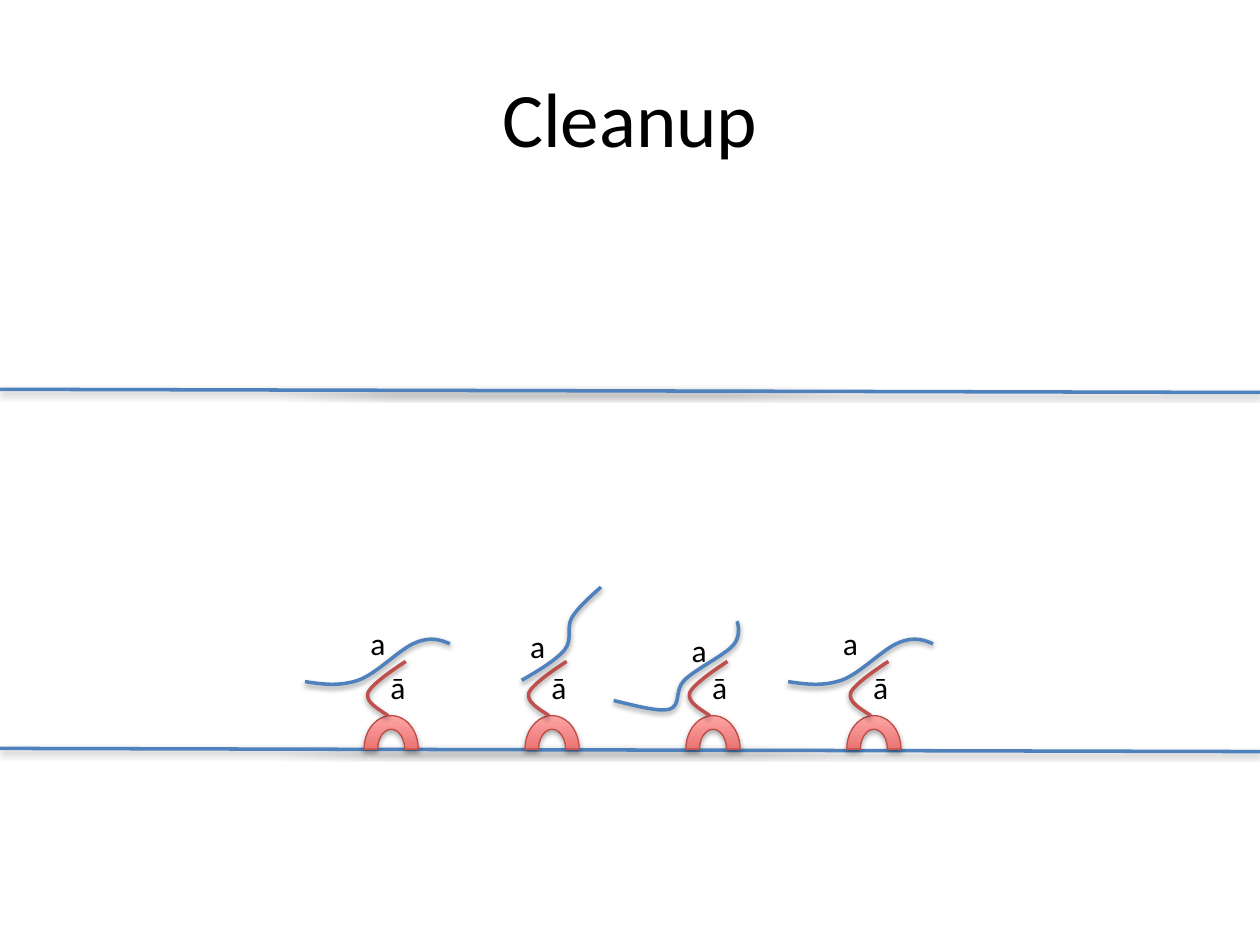
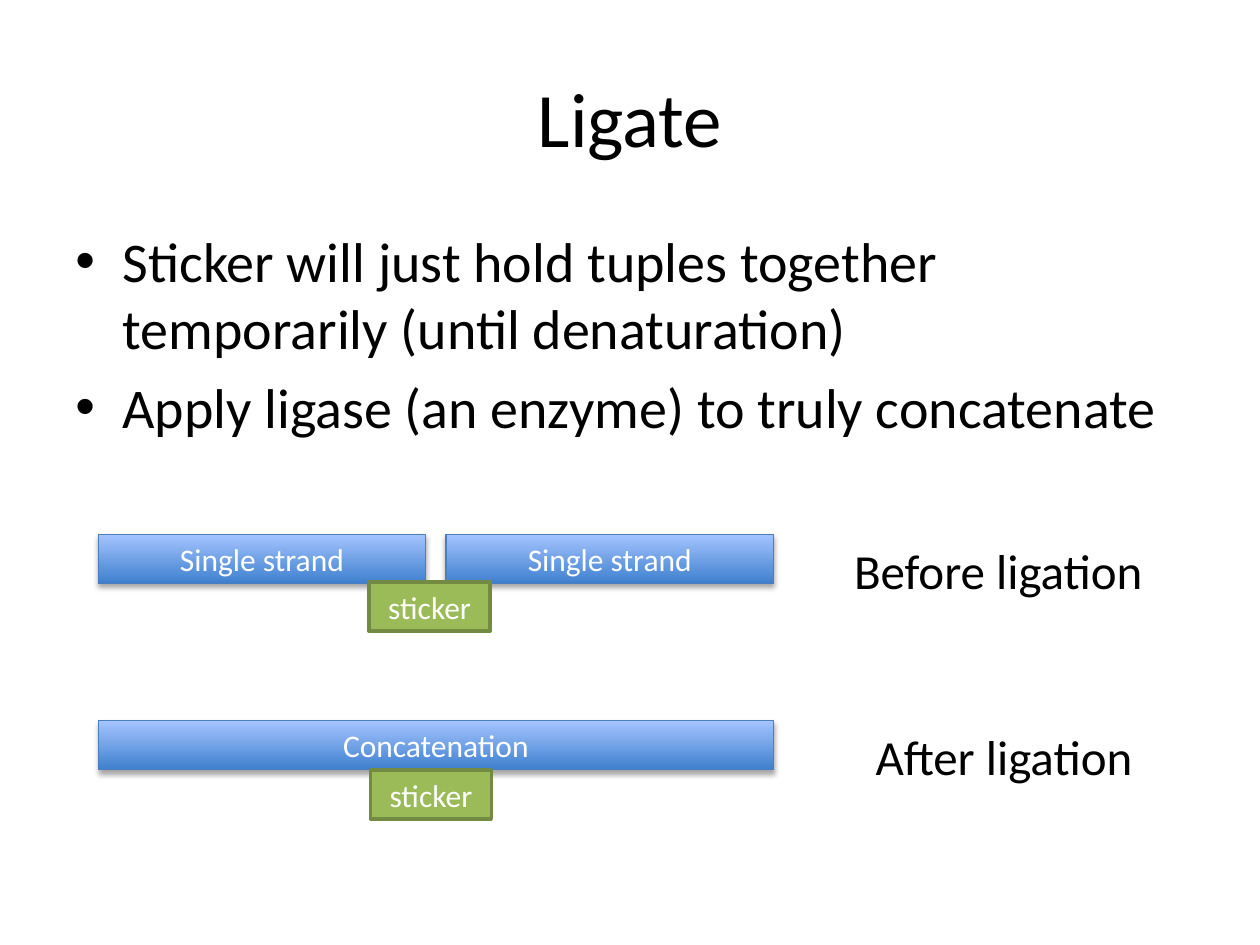
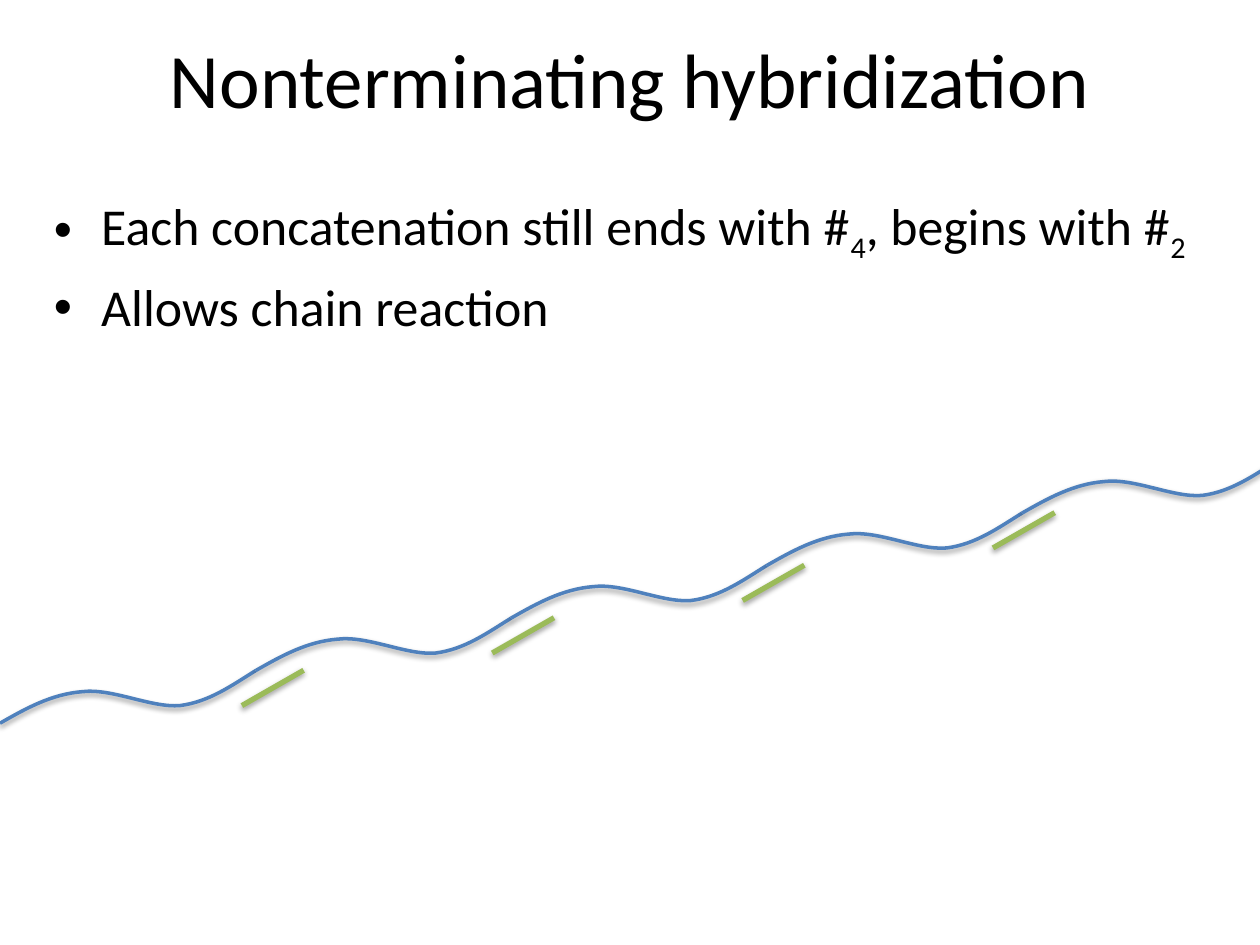
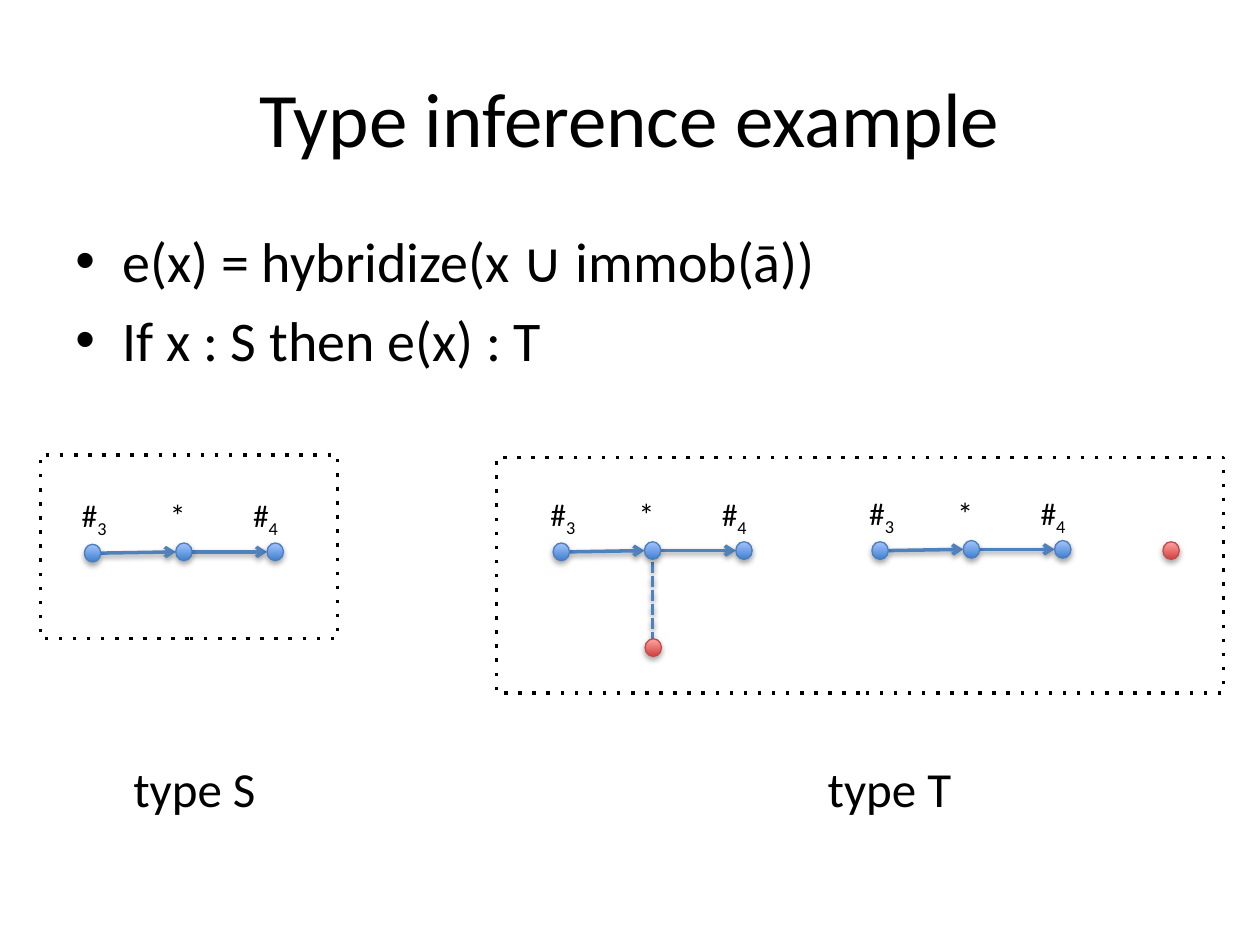
from lxml import etree
from pptx import Presentation
from pptx import util as u
from pptx.dml.color import RGBColor
from pptx.enum import shapes, text
from pptx.oxml import parse_xml
from pptx.oxml.ns import nsdecls, qn

FONT = "Calibri"
BLACK, WHITE = "000000", "FFFFFF"
BLUE, RED, GREEN = "4F81BD", "C0504D", "9BBB59"
BLUE_FILL, BLUE_EDGE = ("3F80CE", "A4C4FF"), "4B7EBC"
RED_FILL, RED_EDGE = ("D1403C", "FFA6A5"), "BF4C48"
GREEN_EDGE = "738A42"
SHADOW = (
    "<a:effectLst %s><a:outerShdw blurRad='40000' dist='%d' dir='5400000' rotWithShape='0'>"
    "<a:srgbClr val='000000'><a:alpha val='%d'/></a:srgbClr></a:outerShdw></a:effectLst>"
)
RECT, OVAL = shapes.MSO_SHAPE.RECTANGLE, shapes.MSO_SHAPE.OVAL

prs = Presentation()
prs.slide_width, prs.slide_height = u.Inches(10), u.Inches(7.5)
CELL = prs.slide_width // 100
rgb = RGBColor.from_string


def stroke(s, points, color=BLUE, width=2, dash=None, arrow=False):
    pts = [(round(x * CELL), round(y * CELL)) for x, y in points]
    if len(pts) == 2:
        sp = s.shapes.add_connector(shapes.MSO_CONNECTOR.STRAIGHT, *pts[0], *pts[1])
    else:
        builder = s.shapes.build_freeform(*pts[0])
        builder.add_line_segments(pts[1:], close=False)
        sp = builder.convert_to_shape()
        sp.fill.background()
        outline = sp._element.xpath(".//a:path")[0]
        segments = outline[1:]
        for i in range(0, len(segments), 3):
            bezier = etree.SubElement(outline, qn("a:cubicBezTo"))
            for segment in segments[i:i + 3]:
                bezier.append(segment[0])
                outline.remove(segment)
    sp.line.color.rgb = rgb(color)
    sp.line.width = u.Pt(width)
    ln = sp._element.spPr.find(qn("a:ln"))
    if dash:
        etree.SubElement(ln, qn("a:prstDash"), val=dash)
    if arrow:
        etree.SubElement(ln, qn("a:tailEnd"), type="arrow")
    sp._element.spPr.append(parse_xml(SHADOW % (nsdecls("a"), 20000, 38000)))


def box(s, kind, x, y, w, h, words="", size=18, fill=None, edge=None, width=0.75, wrap=False):
    place = [round(v * CELL) for v in (x, y, w, h)]
    if kind is None:
        sp = s.shapes.add_textbox(*place)
    else:
        sp = s.shapes.add_shape(kind, *place)
        sp.line.color.rgb = rgb(edge)
        sp.line.width = u.Pt(width)
        if isinstance(fill, tuple):
            sp.fill.gradient()
            sp.fill.gradient_angle = 90
            for stop, color in zip(sp.fill.gradient_stops, fill):
                stop.color.rgb = rgb(color)
            sp._element.spPr.append(parse_xml(SHADOW % (nsdecls("a"), 23000, 35000)))
        else:
            sp.fill.solid()
            sp.fill.fore_color.rgb = rgb(fill)
            sp.shadow.inherit = False
    if not words:
        return sp
    tf = sp.text_frame
    tf.word_wrap = wrap or kind is not None
    if kind is None and not wrap:
        tf.auto_size = text.MSO_AUTO_SIZE.SHAPE_TO_FIT_TEXT
    tf.text = words.replace("_", "")
    for p, line in zip(tf.paragraphs, words.split("\n")):
        p.alignment = text.PP_ALIGN.LEFT if kind is None else text.PP_ALIGN.CENTER
        parts = line.split("_")
        p.runs[0].text = parts[0]
        for part in parts[1:]:
            p.add_run().text = part
        for i, r in enumerate(p.runs):
            r.font.name, r.font.size = FONT, u.Pt(size)
            r.font.color.rgb = rgb(BLACK if kind is None else WHITE)
            if i % 2:
                r._r.get_or_add_rPr().set("baseline", "-25000")
    return sp


pages = []
for name, top in [("Cleanup", 3), ("Ligate", 3), ("Nonterminating hybridization", -0.1),
                  ("Type inference example", 3)]:
    s = prs.slides.add_slide(prs.slide_layouts[5])
    title = s.shapes.title
    title.left, title.top, title.width, title.height = [round(v * CELL) for v in (5, top, 90, 12.5)]
    title.text_frame.text = name
    title.text_frame.vertical_anchor = text.MSO_ANCHOR.MIDDLE
    p = title.text_frame.paragraphs[0]
    p.alignment = text.PP_ALIGN.CENTER
    r = p.runs[0]
    r.font.name, r.font.size, r.font.color.rgb = FONT, u.Pt(44), rgb(BLACK)
    pages.append(s)
cleanup, ligate, chain, inference = pages

for s, place, size, words in [
    (ligate, (5, 17.5, 90, 20.4), 32,
     "Sticker will just hold tuples together temporarily (until denaturation)\n"
     "Apply ligase (an enzyme) to truly concatenate"),
    (chain, (3.3, 14.9, 94.2, 14.2), 29.6,
     "Each concatenation still ends with #_4_, begins with #_2\nAllows chain reaction"),
    (inference, (5, 17.5, 90, 16.1), 32,
     "e(x) = hybridize(x ∪ immob(ā))\nIf x : S then e(x) : T"),
]:
    sp = box(s, None, *place, words, size, wrap=True)
    for i, p in enumerate(sp.text_frame.paragraphs):
        pPr = p._p.get_or_add_pPr()
        pPr.set("marL", "342900")
        pPr.set("indent", "-342900")
        etree.SubElement(pPr, qn("a:buFont"), typeface="Arial")
        etree.SubElement(pPr, qn("a:buChar"), char="•")
        p.space_before = u.Pt(0.2 * size if i else 0)

for y in (59.4, 30.9):
    stroke(cleanup, [(0, y), (100, y + 0.25)])
for i in range(4):
    x = 28.9 + 12.77 * i
    box(cleanup, shapes.MSO_SHAPE.BLOCK_ARC, x, 56.8, 4.3, 5.3, fill=RED_FILL, edge=RED_EDGE)
    stroke(cleanup, [(x + 1.9, 56.8), (x + 1, 56.2), (x + 0.1, 55.7), (x + 0.3, 55),
                     (x + 0.6, 54.2), (x + 3.3, 52.5), (x + 3.3, 52.5)], RED)
    box(cleanup, None, x + 1.1, 52.5, 3.2, 4, "ā")

wave = [(24.2, 54.1), (25.5, 54.3), (26.9, 54.5), (28.4, 54), (29.9, 53.5), (31.7, 51.5),
        (33, 51), (34.2, 50.5), (35, 50.8), (35.7, 51.1)]
rising = [(41.4, 54), (42.8, 53.2), (44.1, 52.4), (44.8, 51.6), (45.5, 50.7), (44.9, 49.9),
          (45.4, 49), (45.9, 48.2), (46.8, 47.4), (47.7, 46.6)]
bent = [(48.7, 55.6), (50.4, 56), (52.2, 56.5), (53.1, 56.3), (54.1, 56), (53.5, 54.8),
        (54.3, 54), (55.2, 53.1), (57.5, 52), (58.2, 51.2), (58.9, 50.4), (58.5, 49.3),
        (58.5, 49.3)]
for strand, shift, x, y in [(wave, 0, 28.4, 49), (rising, 0, 41.1, 49.3),
                            (bent, 0, 53.9, 49.6), (wave, 38.35, 65.9, 49)]:
    stroke(cleanup, [(px + shift, py) for px, py in strand])
    box(cleanup, None, x, y, 3.2, 4, "a")

for x, y, w, words in [(7.8, 42.4, 26, "Single strand"), (35.4, 42.4, 26, "Single strand"),
                       (7.8, 57.2, 53.6, "Concatenation")]:
    box(ligate, RECT, x, y, w, 3.9, words, fill=BLUE_FILL, edge=BLUE_EDGE)
for x, y in [(29.3, 46.2), (29.4, 61.1)]:
    box(ligate, RECT, x, y, 9.6, 3.9, "sticker", fill=GREEN, edge=GREEN_EDGE, width=2)
for x, y, w, words in [(66.8, 42.4, 25.4, "Before ligation"), (68.5, 57.2, 22.8, "After ligation")]:
    box(ligate, None, x, y, w, 5.7, words, 28)

ripple = [(0, 0), (2.1, -1.2), (4.1, -2.3), (6.5, -2.5), (8.9, -2.8), (12, -1.2),
          (14.3, -1.4), (16.6, -1.7), (18.4, -3), (20.28, -4.17)]
for i in range(5):
    stroke(chain, [(20.28 * i + x, 57.4 - 4.17 * i + y) for x, y in ripple])
for i in range(4):
    x, y = 19.2 + 19.87 * i, 56 - 4.17 * i
    stroke(chain, [(x, y), (x + 4.9, y - 2.8)], GREEN, 3)

for x, y, w, h in [(39.4, 36.3, 57.7, 18.7), (3.2, 36.1, 23.6, 14.6)]:
    frame = box(inference, RECT, x, y, w, h, fill=WHITE, edge=BLACK, width=2)
    etree.SubElement(frame._element.spPr.find(qn("a:ln")), qn("a:prstDash"), val="dot")
stroke(inference, [(51.8, 44.6), (51.8, 50.7)], dash="sysDash")
for x, y in [(6.7, 43.2), (43.9, 43.1), (69.2, 43)]:
    nodes = [(x, y), (x + 7.25, y - 0.1), (x + 14.5, y - 0.1)]
    for (x1, y1), (x2, y2) in zip(nodes, nodes[1:]):
        stroke(inference, [(x1 + 1.3, y1 + 0.7), (x2, y2 + 0.7)], arrow=True)
    for nx, ny in nodes:
        box(inference, OVAL, nx, ny, 1.3, 1.4, fill=BLUE_FILL, edge=BLUE_EDGE)
    for dx, w, words in [(-1.2, 4.1, "#_3"), (5.8, 3.3, "*"), (12.4, 4.1, "#_4")]:
        box(inference, None, x + dx, y - 4.3, w, 4, words)
for x, y in [(51.2, 50.7), (92.3, 43)]:
    box(inference, OVAL, x, y, 1.3, 1.4, fill=RED_FILL, edge=RED_EDGE)
for x, words in [(9.6, "type S"), (64.7, "type T")]:
    box(inference, None, x, 59.7, 11.8, 5.7, words, 28)

prs.save("out.pptx")
